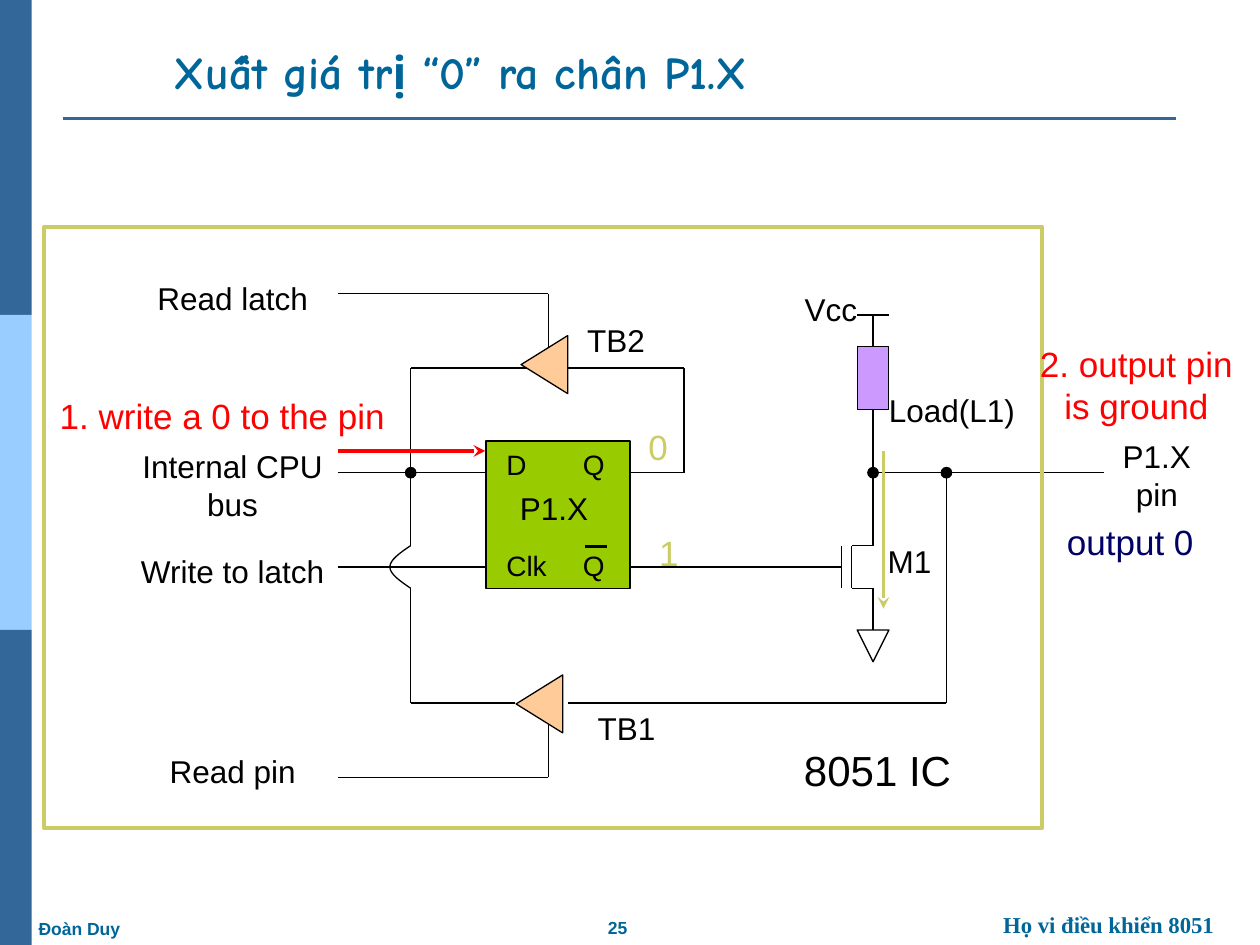
import itertools

import pptx
import pptx.dml.color
import pptx.enum.shapes
import pptx.enum.text
import pptx.oxml
import pptx.oxml.ns
import pptx.util
from pptx.util import Cm

RGBColor = pptx.dml.color.RGBColor
Shape = pptx.enum.shapes.MSO_SHAPE
Align = pptx.enum.text.PP_ALIGN
Anchor = pptx.enum.text.MSO_ANCHOR

BLACK = RGBColor(0x00, 0x00, 0x00)
STEEL = RGBColor(0x33, 0x66, 0x99)
SKY = RGBColor(0x99, 0xCC, 0xFF)
TEAL = RGBColor(0x00, 0x66, 0x99)
GREEN = RGBColor(0x99, 0xCC, 0x00)
PEACH = RGBColor(0xFF, 0xCC, 0x99)
VIOLET = RGBColor(0xCC, 0x99, 0xFF)
OLIVE = RGBColor(0xCC, 0xCC, 0x66)
RED = RGBColor(0xFF, 0x00, 0x00)
NAVY = RGBColor(0x00, 0x00, 0x66)

BUS_X, JUMP_X, GATE_X, LATCH_X = 6.81, 8.28, 11.05, 9.8
DRAIN_X, PIN_X = 17.6, 19.08
BUS_Y, CLOCK_Y, TOP_Y, BOTTOM_Y = 9.53, 11.43, 7.42, 14.17
JUMP_HEIGHT, JUMP_DEPTH = 0.43, 0.42


def write(frame, text, *, size=18, color=BLACK, font="Arial", bold=False,
          align=Align.CENTER, gap=0, tab=None):
    """Fill a text frame, one paragraph per line, in a single format."""
    for index, line in enumerate(text.split("\n")):
        para = frame.add_paragraph() if index else frame.paragraphs[0]
        para.alignment = align
        para.space_before = pptx.util.Pt(gap if index else 0)
        if tab:
            stops = pptx.oxml.parse_xml(
                f'<a:tabLst {pptx.oxml.ns.nsdecls("a")}>'
                f'<a:tab pos="{Cm(tab)}" algn="l"/></a:tabLst>')
            para._p.get_or_add_pPr().append(stops)
        span = para.add_run()
        span.text = line
        span.font.name = font
        span.font.size = pptx.util.Pt(size)
        span.font.bold = bold
        span.font.color.rgb = color


class Painter:
    """Draws styled elements on the current page, measured in centimetres."""

    def __init__(self, page):
        self.page = page
        self.shapes = page.shapes

    def title(self, text, left, top, width, height, **style):
        box = self.shapes.title
        box.left, box.top, box.width, box.height = map(Cm, (left, top, width, height))
        box.text_frame.vertical_anchor = Anchor.BOTTOM
        box.text_frame.auto_size = pptx.enum.text.MSO_AUTO_SIZE.NONE
        write(box.text_frame, text, align=Align.LEFT, **style)

    def label(self, text, left, top, width, height=1.02, **style):
        box = self.shapes.add_textbox(*map(Cm, (left, top, width, height)))
        box.text_frame.word_wrap = True
        write(box.text_frame, text, **style)

    def outline(self, shape, fill, color, weight):
        shape.shadow.inherit = False
        if fill is None:
            shape.fill.background()
        else:
            shape.fill.solid()
            shape.fill.fore_color.rgb = fill
        if color is None:
            shape.line.fill.background()
        else:
            shape.line.color.rgb = color
            shape.line.width = pptx.util.Pt(weight)

    def shape(self, kind, left, top, width, height, fill=None, color=BLACK,
              weight=0.75, turn=0):
        shape = self.shapes.add_shape(kind, *map(Cm, (left, top, width, height)))
        shape.rotation = turn
        self.outline(shape, fill, color, weight)
        return shape

    def line(self, start, end, color=BLACK, weight=0.75, arrow=False):
        line = self.shapes.add_connector(
            pptx.enum.shapes.MSO_CONNECTOR.STRAIGHT, *map(Cm, (*start, *end)))
        line.line.color.rgb = color
        line.line.width = pptx.util.Pt(weight)
        names = pptx.oxml.ns.nsdecls("a")
        properties = line._element.spPr
        if arrow:
            properties.find(pptx.oxml.ns.qn("a:ln")).append(
                pptx.oxml.parse_xml(f'<a:tailEnd {names} type="stealth"/>'))
        properties.append(pptx.oxml.parse_xml(f"<a:effectLst {names}/>"))
        return line

    def wire(self, *points):
        for start, end in itertools.pairwise(points):
            self.line(start, end)

    def dot(self, x, y, size=0.21):
        self.shape(Shape.OVAL, x - size / 2, y - size / 2, size, size, BLACK)

    def curve(self, points):
        corners = [(Cm(x), Cm(y)) for x, y in points]
        builder = self.shapes.build_freeform(*corners[0])
        builder.add_line_segments(corners[1:], close=False)
        self.outline(builder.convert_to_shape(), None, BLACK, 0.75)


def draw_frame(painter):
    """Draw the side bands, title rule, title and footer."""
    for index, fill in enumerate((STEEL, SKY, STEEL)):
        painter.shape(Shape.RECTANGLE, 0, 6.35 * index, 0.64, 6.35, fill, None)
    painter.line((1.27, 2.39), (23.7, 2.39), STEEL, 1.5)
    painter.title("Xuất giá trị “0” ra chân P1.X", 3.25, 0.15, 18.85, 1.96,
                  size=26, color=TEAL, font="Comic Neue", bold=True)
    painter.label("25", 11.35, 18.36, 2.2, 0.69, size=10, color=TEAL, bold=True)
    painter.label("Họ vi điều khiển 8051", 19.46, 18.24, 5.77, 0.81, size=13,
                  color=TEAL, font="Times New Roman", bold=True)
    painter.label("Đoàn Duy", 0.53, 18.39, 2.5, 0.66, size=10, color=TEAL,
                  bold=True, align=Align.LEFT)


def draw_circuit(painter):
    """Draw the latch, buffers, transistor, load and their wiring."""
    painter.shape(Shape.RECTANGLE, LATCH_X, 8.89, 2.9, 2.97, GREEN)
    painter.label("D\tQ\nClk\tQ", 9.96, 8.89, 2.59, 3, size=16,
                  align=Align.LEFT, gap=39, tab=1.54)
    painter.line((11.79, 11.02), (12.24, 11.02), weight=2)
    load = painter.shape(Shape.RECTANGLE, 17.28, 6.99, 0.64, 1.27, VIOLET)
    for left, top in ((10.39, 6.88), (10.29, 13.72)):
        painter.shape(Shape.ISOSCELES_TRIANGLE, left, top, 1.17, 0.94, PEACH, turn=270)
    painter.shape(Shape.ISOSCELES_TRIANGLE, 17.28, 12.7, 0.64, 0.64, turn=180)

    jump_top, jump_bottom = CLOCK_Y - JUMP_HEIGHT, CLOCK_Y + JUMP_HEIGHT
    wires = (
        ((BUS_X, BUS_Y), (LATCH_X, BUS_Y)),
        ((BUS_X, CLOCK_Y), (LATCH_X, CLOCK_Y)),
        ((BUS_X, 5.92), (GATE_X, 5.92), (GATE_X, 6.99)),
        ((BUS_X, 15.67), (GATE_X, 15.67), (GATE_X, 14.61)),
        ((11.46, TOP_Y), (13.79, TOP_Y), (13.79, BUS_Y), (12.73, BUS_Y)),
        ((12.73, CLOCK_Y), (16.97, CLOCK_Y)),
        ((16.97, jump_top), (16.97, jump_bottom)),
        ((DRAIN_X, jump_top), (17.17, jump_top), (17.17, jump_bottom),
         (DRAIN_X, jump_bottom), (DRAIN_X, 12.7)),
        ((DRAIN_X, BUS_Y), (22.25, BUS_Y)),
        ((17.28, 6.35), (17.92, 6.35)),
        ((PIN_X, BUS_Y), (PIN_X, BOTTOM_Y), (11.46, BOTTOM_Y)),
        ((10.62, TOP_Y), (JUMP_X, TOP_Y), (JUMP_X, jump_top)),
        ((JUMP_X, jump_bottom), (JUMP_X, BOTTOM_Y), (10.39, BOTTOM_Y)),
    )
    for points in wires:
        painter.wire(*points)
    painter.line((DRAIN_X, 6.35), (DRAIN_X, 6.99)).end_connect(load, 0)
    painter.line((DRAIN_X, 8.26), (DRAIN_X, jump_top)).begin_connect(load, 2)

    steps = [step / 8 for step in range(-8, 9)]
    painter.curve([
        (JUMP_X - JUMP_DEPTH * (1.5 * near - 0.5 * near ** 3),
         CLOCK_Y + JUMP_HEIGHT * step)
        for step in steps for near in (1 - abs(step),)])
    for x in (JUMP_X, DRAIN_X, PIN_X):
        painter.dot(x, BUS_Y)


def draw_labels(painter):
    """Draw the signal names, the chip border and the explained steps."""
    for text, top in (("Read latch", 5.5), ("Internal CPU bus", 8.89),
                      ("Write to latch", 11), ("Read pin", 15.04)):
        painter.label(text, 2.57, top, 4.24)
    for text, left, top, width in (
            ("Vcc", 15.9, 5.72, 1.7), ("Load(L1)", 17.6, 7.75, 3.18),
            ("M1", 17.6, 10.8, 1.47), ("P1.X pin", 22.05, 8.69, 2.54),
            ("P1.X", 9.9, 9.73, 2.54), ("TB1", 11.46, 14.17, 2.34),
            ("TB2", 11.25, 6.35, 2.34)):
        painter.label(text, left, top, width)
    painter.shape(Shape.RECTANGLE, 0.89, 4.57, 20.12, 12.12, color=OLIVE, weight=2.25)
    painter.label("8051 IC", 14.73, 14.88, 5.92, 1.27, size=24)
    for text, left, top, width, color in (
            ("2. output pin is ground", 20.47, 6.78, 4.88, RED),
            ("1. write a 0 to the pin", 0.89, 7.82, 7.19, RED),
            ("0", 12.73, 8.46, 1.07, OLIVE), ("1", 12.95, 10.59, 1.07, OLIVE),
            ("output 0", 20.78, 10.36, 4.01, NAVY)):
        painter.label(text, left, top, width, 1.12, size=20, color=color)
    painter.line((BUS_X, 9.09), (9.78, 9.09), RED, 2.25, arrow=True)
    painter.line((17.81, 9.09), (17.81, 12.27), OLIVE, 2.25, arrow=True)


def main():
    """Build the deck and save it."""
    deck = pptx.Presentation()
    deck.slide_width, deck.slide_height = Cm(25.4), Cm(19.05)
    painter = Painter(deck.slides.add_slide(deck.slide_layouts[5]))
    draw_frame(painter)
    draw_circuit(painter)
    draw_labels(painter)
    deck.save("out.pptx")


if __name__ == "__main__":
    main()
